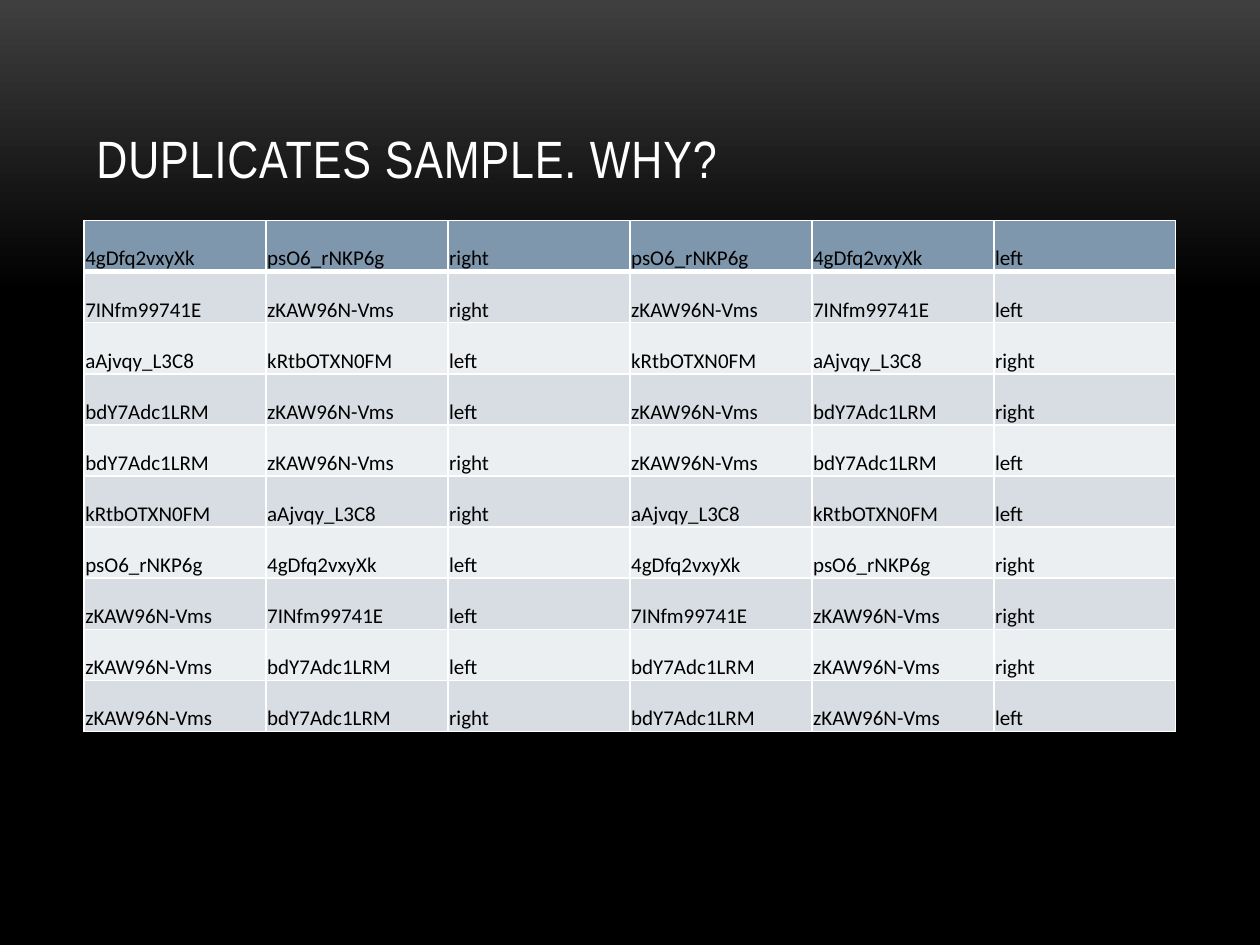
from lxml import etree
from pptx import Presentation
from pptx import util as u
from pptx.dml.color import RGBColor
from pptx.enum import text
from pptx.oxml import ns

WHITE = RGBColor(0xFF, 0xFF, 0xFF)
BLACK = RGBColor(0x00, 0x00, 0x00)
CHARCOAL = RGBColor(0x3F, 0x3F, 0x3F)
HEADER = RGBColor(0x7E, 0x97, 0xAD)
BAND_DARK = RGBColor(0xD8, 0xDD, 0xE3)
BAND_LIGHT = RGBColor(0xEC, 0xEF, 0xF1)

PAIRS = [
    ("4gDfq2vxyXk", "psO6_rNKP6g", "right"),
    ("7INfm99741E", "zKAW96N-Vms", "right"),
    ("aAjvqy_L3C8", "kRtbOTXN0FM", "left"),
    ("bdY7Adc1LRM", "zKAW96N-Vms", "left"),
    ("bdY7Adc1LRM", "zKAW96N-Vms", "right"),
    ("kRtbOTXN0FM", "aAjvqy_L3C8", "right"),
    ("psO6_rNKP6g", "4gDfq2vxyXk", "left"),
    ("zKAW96N-Vms", "7INfm99741E", "left"),
    ("zKAW96N-Vms", "bdY7Adc1LRM", "left"),
    ("zKAW96N-Vms", "bdY7Adc1LRM", "right"),
]
OPPOSITE = {"left": "right", "right": "left"}


class Deck:
    title_font = "Arial Narrow"
    body_font = "Calibri"

    def __init__(self, width, height):
        self.prs = Presentation()
        self.prs.slide_width = u.Pt(width)
        self.prs.slide_height = u.Pt(height)
        self.s = self.prs.slides.add_slide(self.prs.slide_layouts[6])

    def background(self, top, bottom, end):
        fill = self.s.background.fill
        fill.gradient()
        fill.gradient_angle = 270
        for stop, color, position in zip(fill.gradient_stops, (top, bottom), (0, end)):
            stop.color.rgb = color
            stop.position = position

    def paragraph(self, p, words, font, size, color):
        p.text = words
        p.font.name = font
        p.font.size = u.Pt(size)
        p.font.color.rgb = color

    def title(self, words, left, top, width, height):
        sp = self.s.shapes.add_textbox(*map(u.Pt, (left, top, width, height)))
        tf = sp.text_frame
        tf.word_wrap = True
        tf.vertical_anchor = text.MSO_ANCHOR.BOTTOM
        p = tf.paragraphs[0]
        self.paragraph(p, words, self.title_font, 30, WHITE)
        p.runs[0]._r.get_or_add_rPr().set("spc", "50")

    def border(self, cell, side, width):
        tc_pr = cell._tc.get_or_add_tcPr()
        ln = etree.SubElement(tc_pr, ns.qn(f"a:ln{side}"), w=str(u.Pt(width)))
        fill = etree.SubElement(ln, ns.qn("a:solidFill"))
        etree.SubElement(fill, ns.qn("a:srgbClr"), val=str(WHITE))

    def cell(self, cell, words, fill, top_line, bottom_line):
        cell.margin_left = cell.margin_right = cell.margin_top = u.Pt(0.75)
        cell.margin_bottom = 0
        cell.vertical_anchor = text.MSO_ANCHOR.BOTTOM
        for side, width in zip("LRTB", (1, 1, top_line, bottom_line)):
            self.border(cell, side, width)
        cell.fill.solid()
        cell.fill.fore_color.rgb = fill
        self.paragraph(cell.text_frame.paragraphs[0], words, self.body_font, 12, BLACK)

    def table(self, rows, left, top, col_width, row_height):
        n_rows, n_cols = len(rows), len(rows[0])
        table = self.s.shapes.add_table(
            n_rows, n_cols, u.Pt(left), u.Pt(top),
            u.Pt(col_width * n_cols), u.Pt(row_height * n_rows)).table
        for col in table.columns:
            col.width = u.Pt(col_width)
        for i, values in enumerate(rows):
            table.rows[i].height = u.Pt(row_height)
            band = BAND_DARK if i % 2 else BAND_LIGHT
            fill = band if i else HEADER
            for j, words in enumerate(values):
                self.cell(table.cell(i, j), words, fill,
                          3 if i == 1 else 1, 3 if i == 0 else 1)


def main():
    deck = Deck(720, 540)
    deck.background(CHARCOAL, BLACK, 0.31)
    deck.title("DUPLICATES SAMPLE. WHY?", 48, 21.6, 624, 90)
    rows = [(a, b, side, b, a, OPPOSITE[side]) for a, b, side in PAIRS]
    deck.table(rows, 48, 126, 104, 29.2)
    deck.prs.save("out.pptx")


if __name__ == "__main__":
    main()
